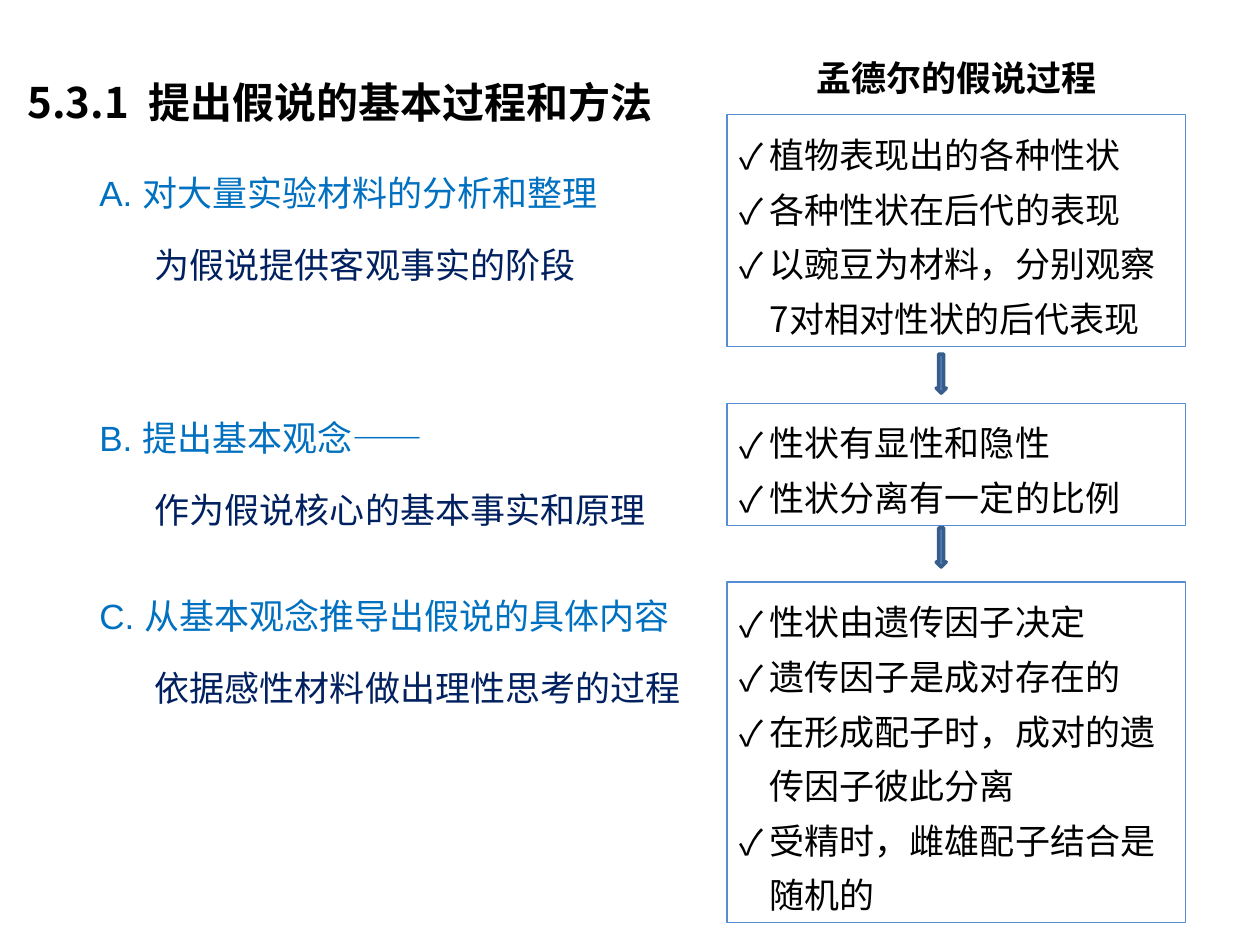
from lxml import etree
from pptx import Presentation
from pptx.dml.color import RGBColor
from pptx.enum.shapes import MSO_SHAPE
from pptx.enum.text import MSO_ANCHOR, PP_ALIGN
from pptx.oxml.ns import qn
from pptx.util import Inches, Pt

RECT, ARROW = MSO_SHAPE.RECTANGLE, MSO_SHAPE.DOWN_ARROW
TOP, LEFT, CENTER = MSO_ANCHOR.TOP, PP_ALIGN.LEFT, PP_ALIGN.CENTER
SANS, CJK = "Arial", "Noto Sans CJK SC"
BLACK, BLUE, NAVY = "000000", "0070C0", "002060"
EDGE, FILL, RIM = "558ED5", "4F81BD", "385D8A"
HANG = Inches(0.24)

TITLE = "5.3.1  提出假说的基本过程和方法"
HEADING = "孟德尔的假说过程"
STEPS = [  # top, step, remark
    (1.21, "A. 对大量实验材料的分析和整理", "为假说提供客观事实的阶段"),
    (3.16, "B. 提出基本观念——", "作为假说核心的基本事实和原理"),
    (4.57, "C. 从基本观念推导出假说的具体内容", "依据感性材料做出理性思考的过程"),
]
PANELS = [  # top, height, points
    (0.91, 1.84, ["植物表现出的各种性状", "各种性状在后代的表现",
                  "以豌豆为材料，分别观察7对相对性状的后代表现"]),
    (3.2, 0.97, ["性状有显性和隐性", "性状分离有一定的比例"]),
    (4.62, 2.7, ["性状由遗传因子决定", "遗传因子是成对存在的",
                 "在形成配子时，成对的遗传因子彼此分离",
                 "受精时，雌雄配子结合是随机的"]),
]
ARROWS = [2.81, 4.19]
COL_X, COL_W = 5.77, 3.64


def color(code):
    return RGBColor.from_string(code)


def check(para):
    """Give the paragraph a hanging check-mark bullet."""
    props = para._p.get_or_add_pPr()
    props.set("marL", str(HANG))
    props.set("indent", str(-HANG))
    tint = etree.SubElement(props, qn("a:buClr"))
    etree.SubElement(tint, qn("a:srgbClr"), val=BLACK)
    etree.SubElement(props, qn("a:buFont"), typeface=CJK)
    etree.SubElement(props, qn("a:buChar"), char="✓")


def write(shape, lines, size=20, font=CJK, tone=BLACK, bold=False,
          align=LEFT, space=1.3, ticks=False):
    frame = shape.text_frame
    frame.word_wrap = True
    frame.vertical_anchor = TOP
    frame.text = "\n".join(lines)
    for para in frame.paragraphs:
        if ticks:
            check(para)
        para.alignment = align
        para.line_spacing = space
        for run in para.runs:
            run.font.size = Pt(size)
            run.font.bold = bold
            run.font.name = font
            run.font.color.rgb = color(tone)
            east = etree.SubElement(run.font._element, qn("a:ea"))
            east.set("typeface", CJK)


def label(slide, box, text, **style):
    write(slide.shapes.add_textbox(*map(Inches, box)), [text], **style)


def block(slide, kind, box, line, width, fill=None):
    shape = slide.shapes.add_shape(kind, *map(Inches, box))
    shape.shadow.inherit = False
    shape.line.color.rgb = color(line)
    shape.line.width = Pt(width)
    if fill:
        shape.fill.solid()
        shape.fill.fore_color.rgb = color(fill)
    else:
        shape.fill.background()
    return shape


def main():
    deck = Presentation()
    deck.slide_width, deck.slide_height = Inches(10), Inches(7.5)
    slide = deck.slides.add_slide(deck.slide_layouts[6])

    label(slide, (0.12, 0.36, 7.97, 0.7), TITLE, size=24, bold=True, space=1.5)
    for top, step, remark in STEPS:
        label(slide, (0.69, top, 8.2, 0.54), step, font=SANS, tone=BLUE)
        label(slide, (1.13, top + 0.57, 8.2, 0.54), remark, font=SANS, tone=NAVY)

    label(slide, (COL_X, 0.23, COL_W, 0.6), HEADING, bold=True,
          align=CENTER, space=1.5)
    for top, high, points in PANELS:
        panel = block(slide, RECT, (COL_X, top, COL_W, high), EDGE, 0.75)
        write(panel, points, ticks=True)
    for top in ARROWS:
        block(slide, ARROW, (7.43, top, 0.08, 0.31), RIM, 2, FILL)

    deck.save("out.pptx")


if __name__ == "__main__":
    main()
